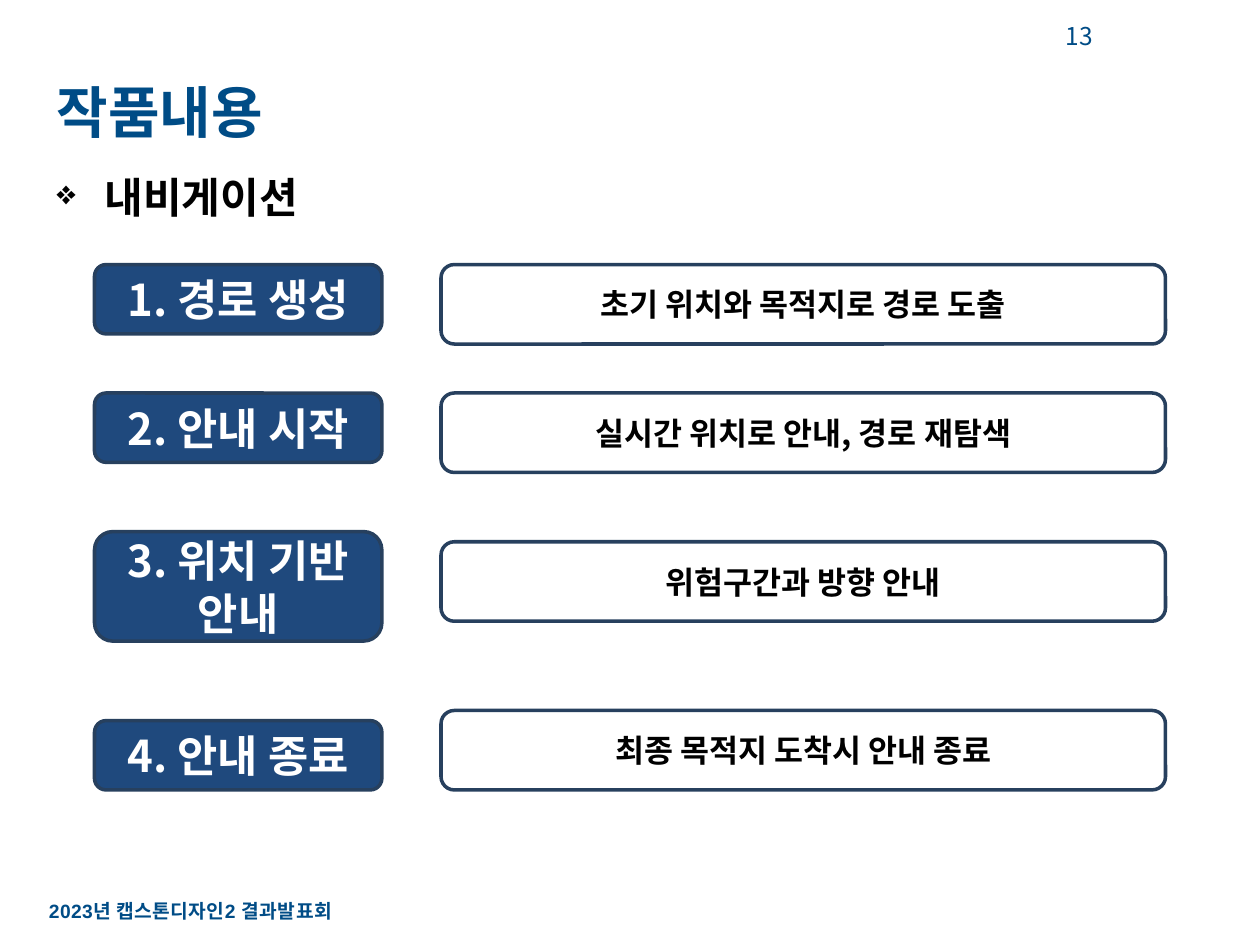
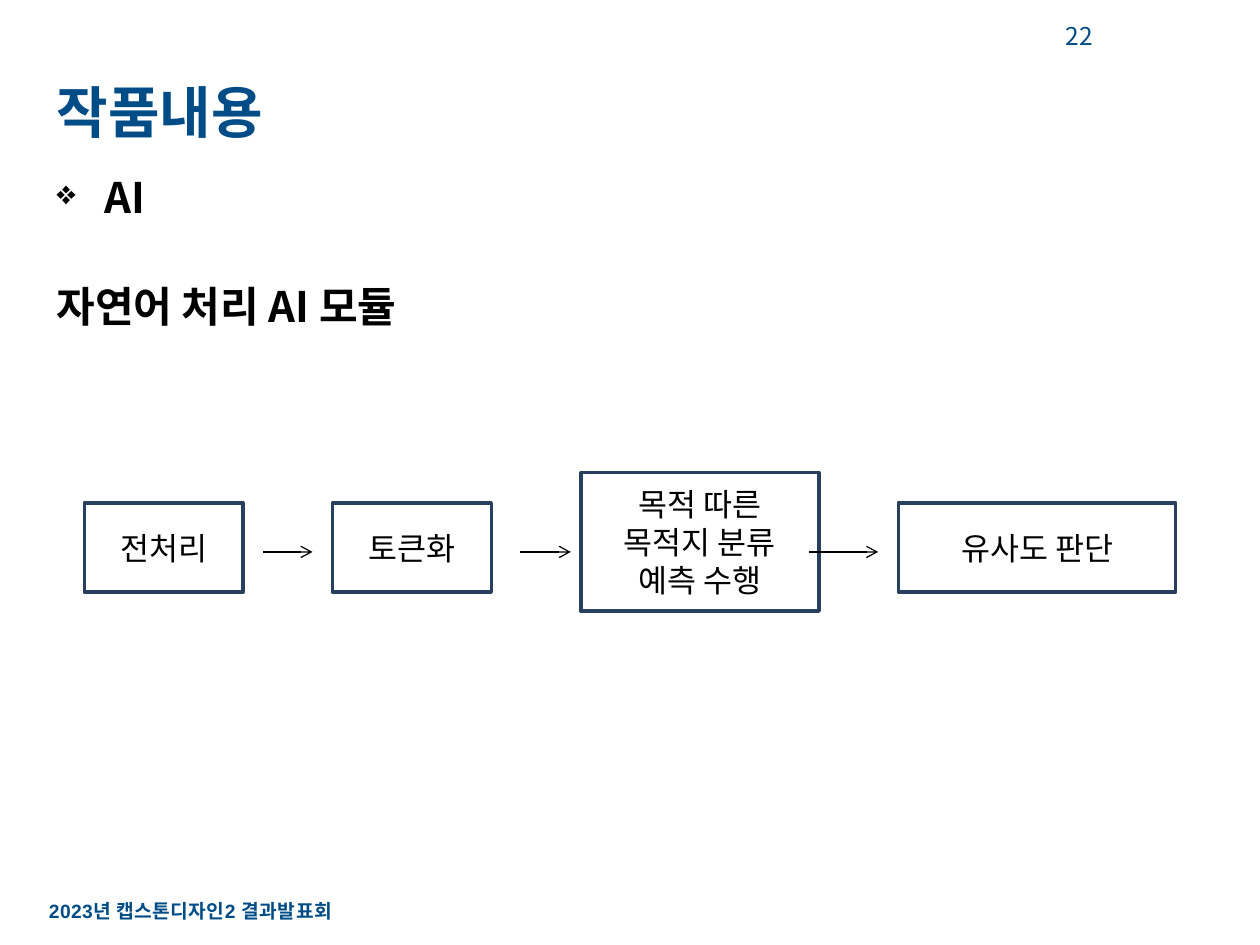
from dataclasses import dataclass
from typing import NamedTuple

from lxml.etree import SubElement as Sub
from pptx import Presentation
from pptx.dml.color import RGBColor as RGB
from pptx.enum.shapes import MSO_CONNECTOR as Conn, MSO_SHAPE as Kind
from pptx.enum.text import MSO_ANCHOR as Anchor, PP_ALIGN as Align
from pptx.oxml.ns import qn
from pptx.util import Pt


# Theme: colours, fonts and type sizes
@dataclass(frozen=True)
class Theme:
    blue: str = "004C86"
    navy: str = "1F497D"
    edge: str = "27405E"
    black: str = "000000"
    white: str = "FFFFFF"
    font: str = "Noto Sans CJK KR"
    foot: str = "Arial"
    title: float = 32
    step: float = 25
    head: float = 24
    body: float = 18
    page: float = 14
    small: float = 11
    lead: float = 1.2


T = Theme()


class Box(NamedTuple):
    left: float
    top: float
    width: float
    height: float


class Style(NamedTuple):
    size: float
    color: str
    bold: bool = True
    font: str = T.font


class Step(NamedTuple):
    name: str
    note: str
    top: float
    height: float
    side: float  # top of the note box


class Stage(NamedTuple):
    text: str
    box: Box


class Arrow(NamedTuple):
    start: float
    end: float


# Text helpers
def write(para, text: str, style: Style, align=Align.LEFT, gap: float = 0):
    form = {"alignment": align, "space_before": Pt(gap),
            "line_spacing": Pt(round(style.size * T.lead, 1))}
    for key, val in form.items():
        setattr(para, key, val)
    run = para.add_run()
    run.text = text
    face = {"name": style.font, "size": Pt(style.size), "bold": style.bold}
    for key, val in face.items():
        setattr(run.font, key, val)
    run.font.color.rgb = RGB.from_string(style.color)
    Sub(run.font._element, qn("a:ea"), typeface=T.font)
    return run


def add_text(slide, box: Box, anchor=Anchor.TOP):
    frame = slide.shapes.add_textbox(*map(Pt, box)).text_frame
    frame.word_wrap = True
    frame.vertical_anchor = anchor
    return frame


def bullet(para) -> None:
    props = para._p.get_or_add_pPr()
    for key, val in {"marL": 27.4, "indent": -27.4}.items():
        props.set(key, str(int(Pt(val))))
    Sub(props, qn("a:buSzPct"), val="80000")
    Sub(props, qn("a:buChar"), char="❖")


# Shape helpers
def add_box(slide, kind, box: Box, fill: str, text: str, style: Style) -> None:
    shape = slide.shapes.add_shape(kind, *map(Pt, box))
    shape.shadow.inherit = False
    shape.fill.solid()
    shape.fill.fore_color.rgb = RGB.from_string(fill)
    shape.line.color.rgb = RGB.from_string(T.edge)
    shape.line.width = Pt(2)
    frame = shape.text_frame
    frame.word_wrap = True
    frame.vertical_anchor = Anchor.MIDDLE
    write(frame.paragraphs[0], text, style, Align.CENTER)


def add_arrow(slide, arrow: Arrow, y: float) -> None:
    ends = (arrow.start, y, arrow.end, y)
    link = slide.shapes.add_connector(Conn.STRAIGHT, *map(Pt, ends))
    link.line.color.rgb = RGB.from_string(T.black)
    link.line.width = Pt(0.75)
    Sub(link.line._get_or_add_ln(), qn("a:tailEnd"), type="arrow")
    Sub(link._element.spPr, qn("a:effectLst"))


# Shared slide parts: footer, topic, title, page number
def add_slide(deck, page: int, topic: str, lead: str = ""):
    slide = deck.slides.add_slide(deck.slide_layouts[6])
    foot = add_text(slide, Box(20.9, 510.5, 207, 21)).paragraphs[0]
    note = Style(T.small, T.blue, font=T.foot)
    run = write(foot, "2023년 캡스톤디자인2 결과발표회", note)
    run.font._element.set("spc", "20")

    head = Style(T.head, T.black)
    frame = add_text(slide, Box(25.2, 94.3, 663, 408))
    bullet(frame.paragraphs[0])
    write(frame.paragraphs[0], topic, head)
    if lead:
        write(frame.add_paragraph(), lead, head, gap=33.8)

    title = add_text(slide, Box(25.2, 41, 663, 44)).paragraphs[0]
    write(title, "작품내용", Style(T.title, T.blue))
    num = add_text(slide, Box(586.8, 5.8, 59.8, 28.8), Anchor.MIDDLE)
    write(num.paragraphs[0], str(page), Style(T.page, T.blue, False),
          Align.CENTER)
    return slide


# Navigation steps
STEPS = (
    Step("1. 경로 생성", "초기 위치와 목적지로 경로 도출", 151.2, 39.6, 151.2),
    Step("2. 안내 시작", "실시간 위치로 안내, 경로 재탐색", 224.6, 39.6, 224.6),
    Step("3. 위치 기반 안내", "위험구간과 방향 안내", 303.8, 62.6, 309.6),
    Step("4. 안내 종료", "최종 목적지 도착시 안내 종료", 411.8, 39.6, 406),
)


def draw_steps(deck) -> None:
    slide = add_slide(deck, 13, "내비게이션")
    kind = Kind.ROUNDED_RECTANGLE
    for step in STEPS:
        add_box(slide, kind, Box(54, step.top, 164.2, step.height),
                T.navy, step.name, Style(T.step, T.white))
        add_box(slide, kind, Box(252, step.side, 414, 45.4),
                T.white, step.note, Style(T.body, T.black))


# Language model flow
STAGES = (
    Stage("전처리", Box(48.2, 287.3, 90.7, 51.1)),
    Stage("토큰화", Box(190.1, 287.3, 90.7, 51.1)),
    Stage("목적 따른 목적지 분류 예측 수행", Box(331.9, 270, 136.1, 79.2)),
    Stage("유사도 판단", Box(513.4, 287.3, 158.4, 51.1)),
)
ARROWS = (Arrow(150.5, 178.6), Arrow(297.4, 326.2), Arrow(462.2, 501.8))


def draw_flow(deck) -> None:
    slide = add_slide(deck, 22, "AI", "자연어 처리 AI 모듈")
    for stage in STAGES:
        add_box(slide, Kind.RECTANGLE, stage.box, T.white, stage.text,
                Style(T.body, T.black, False))
    for arrow in ARROWS:
        add_arrow(slide, arrow, 315.4)


def main() -> None:
    deck = Presentation()
    deck.slide_width, deck.slide_height = Pt(720), Pt(540)
    draw_steps(deck)
    draw_flow(deck)
    deck.save("out.pptx")


if __name__ == "__main__":
    main()
